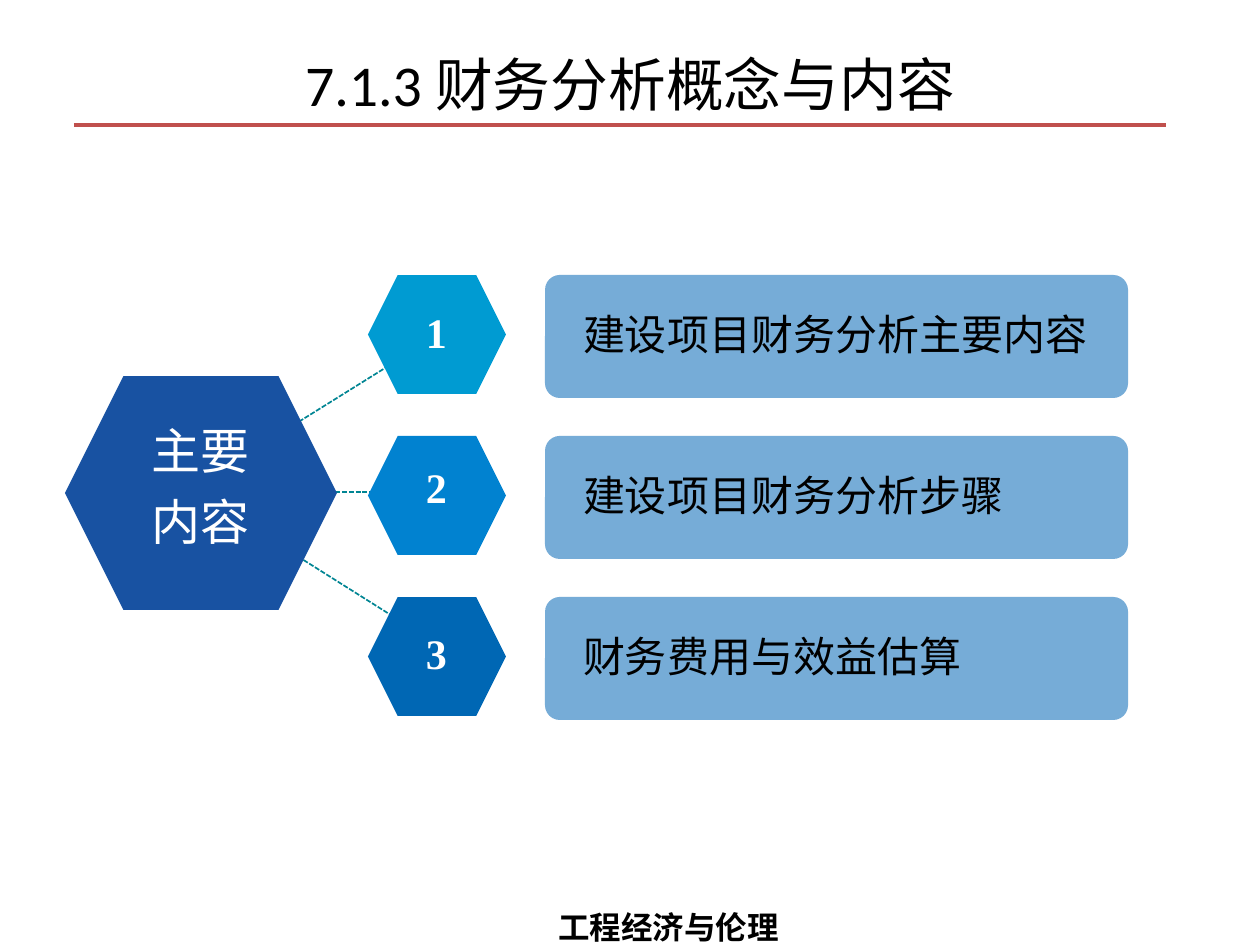
import dataclasses

import lxml.etree
import pptx
import pptx.dml.color
import pptx.enum.dml
import pptx.enum.shapes
import pptx.enum.text
import pptx.oxml.ns
import pptx.util

EMU_PER_PX = 914400 / 126
SHAPES = pptx.enum.shapes.MSO_SHAPE
ALIGN = pptx.enum.text.PP_ALIGN
ANCHOR = pptx.enum.text.MSO_ANCHOR


def px(length):
    return pptx.util.Emu(round(length * EMU_PER_PX))


def rgb(value):
    return pptx.dml.color.RGBColor.from_string(value)


@dataclasses.dataclass(frozen=True)
class Theme:
    ink: str = "000000"
    light: str = "FFFFFF"
    rule: str = "C0504D"
    link: str = "008593"
    hub: str = "1852A2"
    steps: tuple = ("009BD2", "0182D0", "0067B4")
    panel: str = "76ACD7"
    heading_font: str = "Calibri"
    body_font: str = "Noto Sans Mono"
    number_font: str = "Times New Roman"
    title_size: int = 33
    hub_size: int = 28
    body_size: int = 24
    footer_size: int = 18


class SlideBuilder:
    def __init__(self, slide, theme):
        self.slide = slide
        self.theme = theme

    def line(self, start, end, color, width, dash=None):
        connector = self.slide.shapes.add_connector(
            pptx.enum.shapes.MSO_CONNECTOR.STRAIGHT,
            *map(px, start), *map(px, end))
        connector.line.color.rgb = rgb(color)
        connector.line.width = pptx.util.Pt(width)
        if dash is not None:
            connector.line.dash_style = dash
        lxml.etree.SubElement(connector._element.spPr,
                              pptx.oxml.ns.qn("a:effectLst"))

    def block(self, kind, box, color, corner):
        shape = self.slide.shapes.add_shape(kind, *map(px, box))
        shape.adjustments[0] = corner
        shape.shadow.inherit = False
        shape.fill.solid()
        shape.fill.fore_color.rgb = rgb(color)
        shape.line.fill.background()

    def text(self, words, box, size, font, color, bold=False, wrap=True,
             insets=(0, 1, 0, 0), anchor=ANCHOR.TOP, **paragraph_format):
        frame = self.slide.shapes.add_textbox(*map(px, box)).text_frame
        frame.word_wrap = wrap
        frame.vertical_anchor = anchor
        for side, inset in zip(("left", "top", "right", "bottom"), insets):
            setattr(frame, f"margin_{side}", px(inset))
        paragraph = frame.paragraphs[0]
        for name, value in paragraph_format.items():
            setattr(paragraph, name, value)
        run = paragraph.add_run()
        run.text = words
        run.font.color.rgb = rgb(color)
        formats = {"size": pptx.util.Pt(size), "name": font, "bold": bold}
        for name, value in formats.items():
            setattr(run.font, name, value)


def main():
    theme = Theme()
    presentation = pptx.Presentation()
    presentation.slide_width = px(1260)
    presentation.slide_height = px(945)
    slide = presentation.slides.add_slide(presentation.slide_layouts[6])
    builder = SlideBuilder(slide, theme)

    builder.line((74, 125), (1166, 125), theme.rule, 2)
    builder.text("工程经济与伦理", (546, 883, 246, 69), theme.footer_size,
                 theme.number_font, theme.ink, bold=True, wrap=False,
                 insets=(12, 6, 12, 6), line_spacing=1.5)
    builder.text("7.1.3 财务分析概念与内容", (63, 34, 1134, 98),
                 theme.title_size, theme.heading_font, theme.ink,
                 anchor=ANCHOR.MIDDLE, alignment=ALIGN.CENTER)

    links = [((275, 542), (413, 629)),
             ((295, 492), (401, 492)),
             ((276, 436), (406, 355))]
    for start, end in links:
        builder.line(start, end, theme.link, 0.96,
                     pptx.enum.dml.MSO_LINE.SQUARE_DOT)

    builder.block(SHAPES.HEXAGON, (65, 376, 272, 234), theme.hub, 0.25)
    builder.text("主要 内容", (152, 408, 101, 142), theme.hub_size,
                 theme.body_font, theme.light, line_spacing=1.2)

    topics = [("建设项目财务分析主要内容", 306),
              ("建设项目财务分析步骤", 461),
              ("财务费用与效益估算", 627)]
    for index, (topic, number_top) in enumerate(topics):
        top = 275 + 161 * index
        builder.block(SHAPES.HEXAGON, (368, top, 138, 119),
                      theme.steps[index], 0.25)
        builder.text(str(index + 1), (426, number_top, 24, 52),
                     theme.body_size, theme.number_font, theme.light,
                     bold=True)
        builder.block(SHAPES.ROUNDED_RECTANGLE, (545, top, 583, 123),
                      theme.panel, 0.12)
        builder.text(topic, (583, top + 33, 510, 52), theme.body_size,
                     theme.body_font, theme.ink)

    presentation.save("out.pptx")


if __name__ == "__main__":
    main()
